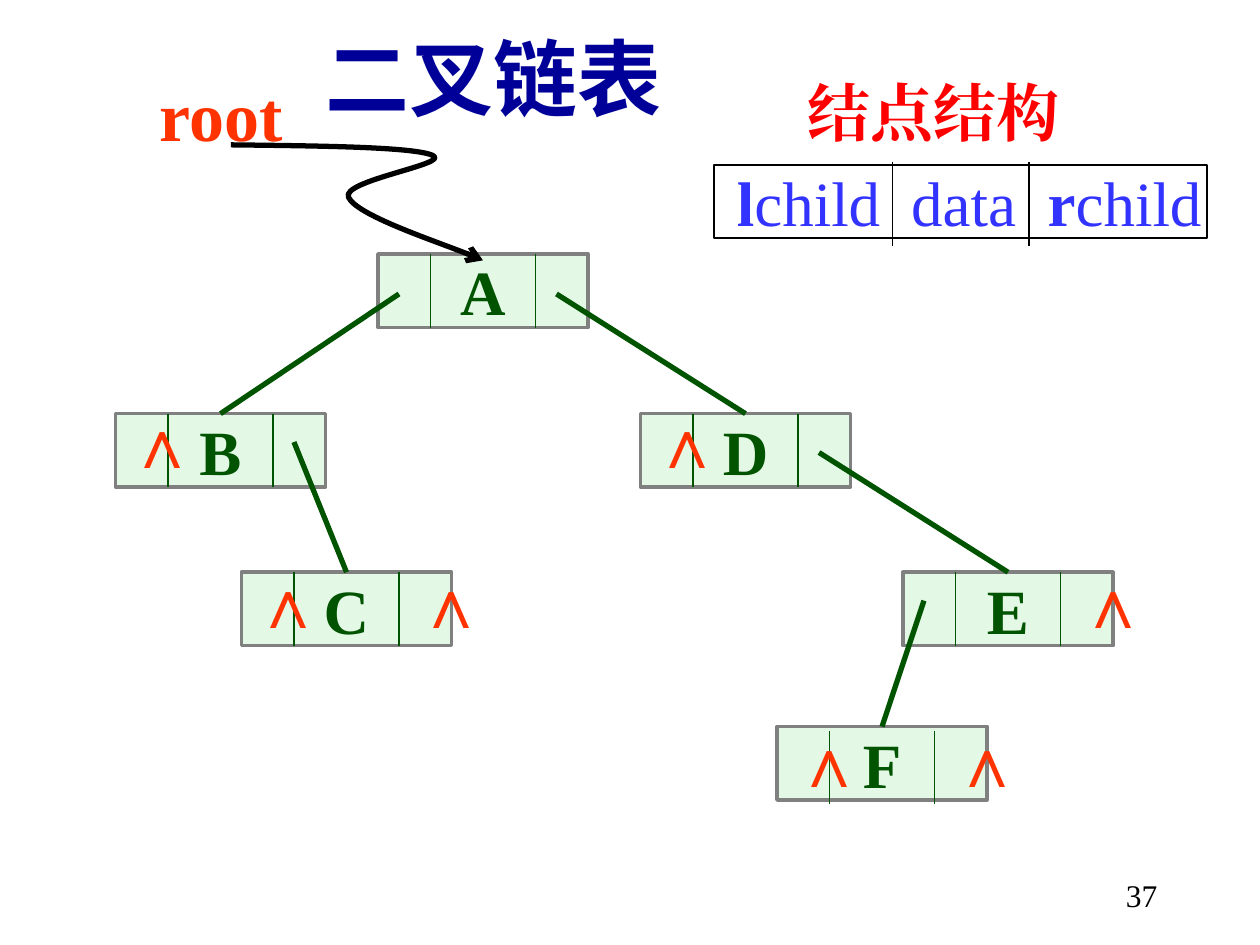
"""Slide 37: a binary linked list with its node structure."""
from pptx import Presentation
from pptx.dml.color import RGBColor
from pptx.enum.shapes import MSO_CONNECTOR, MSO_SHAPE
from pptx.enum.text import MSO_ANCHOR, MSO_AUTO_SIZE, PP_ALIGN
from pptx.oxml.ns import qn
from pptx.util import Inches, Pt
from lxml.etree import SubElement

THEME = {
    "serif": "Times New Roman", "sans": "Arial", "cjk": "Noto Sans CJK SC",
    "title": "000099", "heading": "FF0000", "accent": "FF3300",
    "field": "3333FF", "tree": "005400", "node": "CAF2CE",
    "border": "808080", "black": "000000",
    "title_pt": 48, "mark_pt": 40, "body_pt": 36, "number_pt": 18,
}

prs = Presentation()
prs.slide_width, prs.slide_height = Inches(10), Inches(7.5)
s = prs.slides.add_slide(prs.slide_layouts[6])
U = prs.slide_width / 120


def grid(*cells):
    return [round(c * U) for c in cells]


def add_text(tf, runs, size, color, font="serif", align=PP_ALIGN.LEFT):
    p = tf.paragraphs[0]
    p.alignment = align
    for text, bold in runs:
        r = p.add_run()
        r.text = text
        r.font.size, r.font.bold = Pt(THEME[size]), bold
        r.font.name = THEME[font]
        r.font.color.rgb = RGBColor.from_string(THEME[color])
        SubElement(r.font._element, qn("a:ea"), typeface=THEME[font])
    return p


def add_line(ends, color, width):
    cx = s.shapes.add_connector(MSO_CONNECTOR.STRAIGHT, *grid(*ends))
    cx.line.color.rgb = RGBColor.from_string(THEME[color])
    cx.line.width = Pt(width)
    SubElement(cx._element.spPr, qn("a:effectLst"))
    return cx


W, H = 20, 7
nodes = {}
for name, col, row, drop in [
    ("A", 36, 24.2, 0), ("D", 61, 39.4, 0), ("E", 86, 54.5, 0),
    ("B", 11, 39.4, 0), ("C", 23, 54.5, 0), ("F", 74, 69.2, 0.4),
]:
    sp = s.shapes.add_shape(MSO_SHAPE.RECTANGLE, *grid(col, row, W, H))
    sp.shadow.inherit = False
    sp.fill.solid()
    sp.fill.fore_color.rgb = RGBColor.from_string(THEME["node"])
    SubElement(next(sp._element.iter(qn("a:srgbClr"))), qn("a:alpha"), val="50000")
    sp.line.color.rgb = RGBColor.from_string(THEME["border"])
    sp.line.width = Pt(2)
    tf = sp.text_frame
    tf.word_wrap, tf.vertical_anchor = False, MSO_ANCHOR.MIDDLE
    add_text(tf, [(name, True)], "body_pt", "tree", align=PP_ALIGN.CENTER)
    for x in (col + W / 4, col + W * 3 / 4):
        add_line((x, row + drop, x, row + drop + H), "tree", 1)
    nodes[name] = sp

for col, row in [(74.5, 67.7), (89.5, 67.7), (101.5, 52.6), (61, 37.4),
                 (23, 52.6), (38.5, 52.6), (11, 37.4)]:
    tf = s.shapes.add_textbox(*grid(col, row, 4.6, 9.2)).text_frame
    tf.word_wrap, tf.auto_size = False, MSO_AUTO_SIZE.SHAPE_TO_FIT_TEXT
    add_text(tf, [("∧", True)], "mark_pt", "accent", "sans")

for col, row, child in [(38, 28, "B"), (53, 28, "D"), (28, 42.1, "C"),
                        (78, 43.1, "E"), (88, 57.2, "F")]:
    add_line((col, row, col, row), "tree", 3).end_connect(nodes[child], 0)

curve = [(30.7, 13.9), (39.4, 14, ), (41.2, 14.8), (43.1, 15.6),
         (32.4, 17.2), (33.2, 18.8), (34, 20.5), (43.9, 23.8), (46, 24.8)]
fb = s.shapes.build_freeform(*grid(22, 13.8))
fb.add_line_segments([grid(*pt) for pt in curve], close=False)
sp = fb.convert_to_shape()
sp.shadow.inherit = False
sp.fill.background()
sp.line.color.rgb = RGBColor.from_string(THEME["black"])
sp.line.width = Pt(3)
SubElement(sp.line._get_or_add_ln(), qn("a:tailEnd"), type="arrow")
outline = next(sp._element.iter(qn("a:path")))
segments = outline.findall(qn("a:lnTo"))
for i in range(0, len(segments), 3):
    bezier = SubElement(outline, qn("a:cubicBezTo"))
    for seg in segments[i:i + 3]:
        bezier.append(seg[0])
        outline.remove(seg)

tf = s.shapes.add_textbox(*grid(14, 6.2, 14.2, 9.2)).text_frame
tf.word_wrap, tf.auto_size = False, MSO_AUTO_SIZE.SHAPE_TO_FIT_TEXT
add_text(tf, [("root", True)], "mark_pt", "accent")

tf = s.shapes.add_textbox(*grid(69, 15, 46.7, 8.4)).text_frame
tf.word_wrap, tf.auto_size = False, MSO_AUTO_SIZE.SHAPE_TO_FIT_TEXT
fields = [("l", True), ("child\tdata\t", False), ("r", True), ("child", False)]
p = add_text(tf, fields, "body_pt", "field")
tabs = SubElement(p._p.get_or_add_pPr(), qn("a:tabLst"))
for stop in grid(16.6, 29.6):
    SubElement(tabs, qn("a:tab"), pos=str(stop), algn="l")

sp = s.shapes.add_shape(MSO_SHAPE.RECTANGLE, *grid(68, 15.7, 47, H))
sp.shadow.inherit = False
sp.fill.background()
sp.line.color.rgb = RGBColor.from_string(THEME["black"])
sp.line.width = Pt(1)
for x in (85, 98):
    add_line((x, 15.4, x, 23.4), "black", 1)

tf = s.shapes.add_textbox(*grid(75.7, 6.4, 36.2, 8.4)).text_frame
tf.word_wrap, tf.auto_size = True, MSO_AUTO_SIZE.SHAPE_TO_FIT_TEXT
add_text(tf, [("结点结构", True)], "body_pt", "heading")

tf = s.shapes.add_textbox(*grid(29.8, 0, 36.8, 12.7)).text_frame
tf.word_wrap, tf.auto_size = True, MSO_AUTO_SIZE.SHAPE_TO_FIT_TEXT
p = add_text(tf, [("二叉链表", True)], "title_pt", "title", "cjk")
p.line_spacing = 1.2

tf = s.shapes.add_textbox(*grid(86.4, 82.8, 25, 6)).text_frame
tf.word_wrap = True
add_text(tf, [("37", False)], "number_pt", "black", align=PP_ALIGN.RIGHT)

prs.save("out.pptx")
